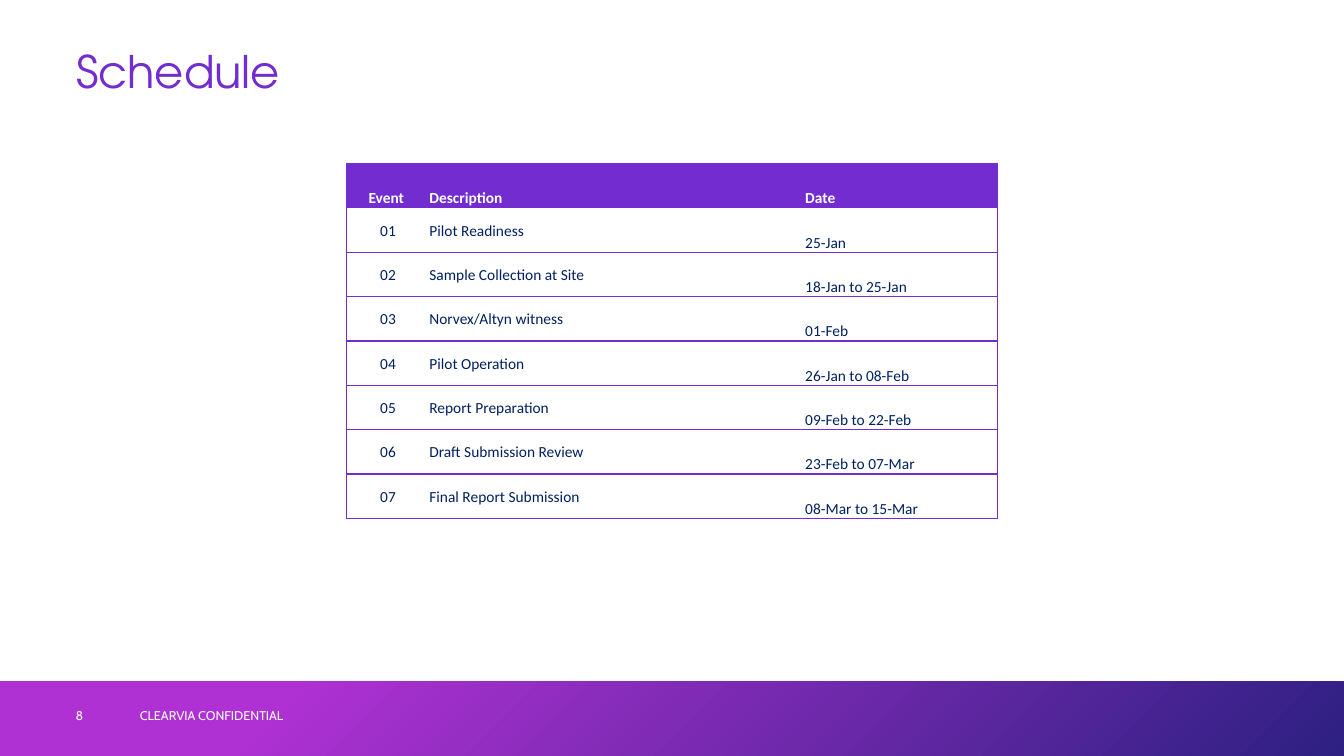
"""Build the project schedule slide."""
from dataclasses import dataclass
from typing import Any

from lxml import etree
from pptx import Presentation
from pptx import util as u
from pptx.dml import color
from pptx.enum import shapes, text
from pptx.oxml import ns

PURPLE, NAVY, WHITE = "722CCF", "002060", "FFFFFF"
ROW_HEIGHT = 31.7


@dataclass(frozen=True)
class Event:
    number: str
    description: str
    date: str


@dataclass(frozen=True)
class Column:
    field: str
    heading: str
    width: float
    alignment: Any
    anchor: Any
    sides: str


@dataclass(frozen=True)
class FooterText:
    wording: str
    left: float
    width: float
    margin_left: float


MIDDLE, BOTTOM = text.MSO_ANCHOR.MIDDLE, text.MSO_ANCHOR.BOTTOM
CENTER, JUSTIFY = text.PP_ALIGN.CENTER, text.PP_ALIGN.JUSTIFY

COLUMNS = [
    Column("number", "Event ", 59, CENTER, MIDDLE, "LTB"),
    Column("description", "Description", 268.5, JUSTIFY, MIDDLE, "TB"),
    Column("date", "Date", 137.5, JUSTIFY, BOTTOM, "RTB"),
]
EVENTS = [
    Event("01", "Pilot Readiness", "25-Jan"),
    Event("02", "Sample Collection at Site", "18-Jan to 25-Jan"),
    Event("03", "Norvex/Altyn witness", "01-Feb"),
    Event("04", "Pilot Operation", "26-Jan to 08-Feb"),
    Event("05", "Report Preparation", "09-Feb to 22-Feb"),
    Event("06", "Draft Submission Review", "23-Feb to 07-Mar"),
    Event("07", "Final Report Submission", "08-Mar to 15-Mar"),
]
FOOTER_TEXTS = [
    FooterText("CLEARVIA CONFIDENTIAL", 92.9, 324, 7.2),
    FooterText("8", 54, 38.9, 0),
]


def rgb(value: str) -> color.RGBColor:
    return color.RGBColor.from_string(value)


def apply_format(target: Any, values: dict[str, Any]) -> None:
    for name, value in values.items():
        setattr(target, name, value)


def write(frame: Any, wording: str, font: dict[str, Any], ink: str,
          paragraph_format: dict[str, Any]) -> None:
    paragraph = frame.paragraphs[0]
    apply_format(paragraph, paragraph_format)
    run = paragraph.add_run()
    run.text = wording
    apply_format(run.font, font)
    run.font.color.rgb = rgb(ink)


def set_borders(cell: Any, sides: str) -> None:
    properties = cell._tc.get_or_add_tcPr()
    for position, side in enumerate("LRTB"):
        line = etree.Element(ns.qn(f"a:ln{side}"), w=str(u.Pt(1)))
        properties.insert(position, line)
        if side in sides:
            fill = etree.SubElement(line, ns.qn("a:solidFill"))
            etree.SubElement(fill, ns.qn("a:srgbClr"), val=PURPLE)
        else:
            etree.SubElement(line, ns.qn("a:noFill"))


def draw_cell(cell: Any, column: Column, wording: str, heading: bool) -> None:
    apply_format(cell, {
        "margin_left": 0, "margin_right": 0, "margin_top": 0, "margin_bottom": 0,
        "vertical_anchor": BOTTOM if heading else column.anchor,
    })
    if heading:
        cell.fill.solid()
        cell.fill.fore_color.rgb = rgb(PURPLE)
    else:
        cell.fill.background()
    set_borders(cell, column.sides)
    write(cell.text_frame, wording,
          {"name": "Calibri", "size": u.Pt(11), "bold": heading},
          WHITE if heading else NAVY,
          {"alignment": column.alignment, "line_spacing": 1.07, "space_after": u.Pt(8)})


def draw_schedule(slide: Any) -> None:
    row_count = len(EVENTS) + 1
    table = slide.shapes.add_table(
        row_count, len(COLUMNS), u.Pt(247.7), u.Pt(116.8),
        u.Pt(sum(column.width for column in COLUMNS)), u.Pt(ROW_HEIGHT * row_count),
    ).table
    apply_format(table, {"first_row": False, "horz_banding": False})
    for row in table.rows:
        row.height = u.Pt(ROW_HEIGHT)
    for index, column in enumerate(COLUMNS):
        table.columns[index].width = u.Pt(column.width)
        wordings = [column.heading] + [getattr(event, column.field) for event in EVENTS]
        for row_index, wording in enumerate(wordings):
            draw_cell(table.cell(row_index, index), column, wording, row_index == 0)


def draw_title(slide: Any) -> None:
    title = slide.shapes.title
    apply_format(title, {"left": u.Pt(54.5), "top": u.Pt(28.8),
                         "width": u.Pt(850.5), "height": u.Pt(48.2)})
    apply_format(title.text_frame, {"margin_left": 0, "vertical_anchor": MIDDLE,
                                    "word_wrap": True})
    write(title.text_frame, "Schedule", {"name": "TeX Gyre Adventor", "size": u.Pt(32)},
          PURPLE, {"alignment": text.PP_ALIGN.LEFT, "line_spacing": 0.9})


def draw_footer(slide: Any) -> None:
    band = slide.shapes.add_shape(shapes.MSO_SHAPE.RECTANGLE, 0, u.Pt(486.5),
                                  u.Pt(960), u.Pt(53.5))
    band.shadow.inherit = False
    band.line.fill.background()
    band.fill.gradient()
    band.fill.gradient_angle = 315
    for stop, (position, value) in zip(band.fill.gradient_stops,
                                       [(0.21, "AF31D3"), (1, "2D2082")]):
        stop.position = position
        stop.color.rgb = rgb(value)
    for item in FOOTER_TEXTS:
        frame = slide.shapes.add_textbox(u.Pt(item.left), u.Pt(496.8),
                                         u.Pt(item.width), u.Pt(28.8)).text_frame
        apply_format(frame, {"margin_left": u.Pt(item.margin_left),
                             "vertical_anchor": MIDDLE, "word_wrap": True})
        write(frame, item.wording, {"name": "Cabin", "size": u.Pt(9)}, WHITE, {})


def main() -> None:
    presentation = Presentation()
    apply_format(presentation, {"slide_width": u.Pt(960), "slide_height": u.Pt(540)})
    slide = presentation.slides.add_slide(presentation.slide_layouts[5])
    draw_footer(slide)
    draw_title(slide)
    draw_schedule(slide)
    presentation.save("out.pptx")


if __name__ == "__main__":
    main()
